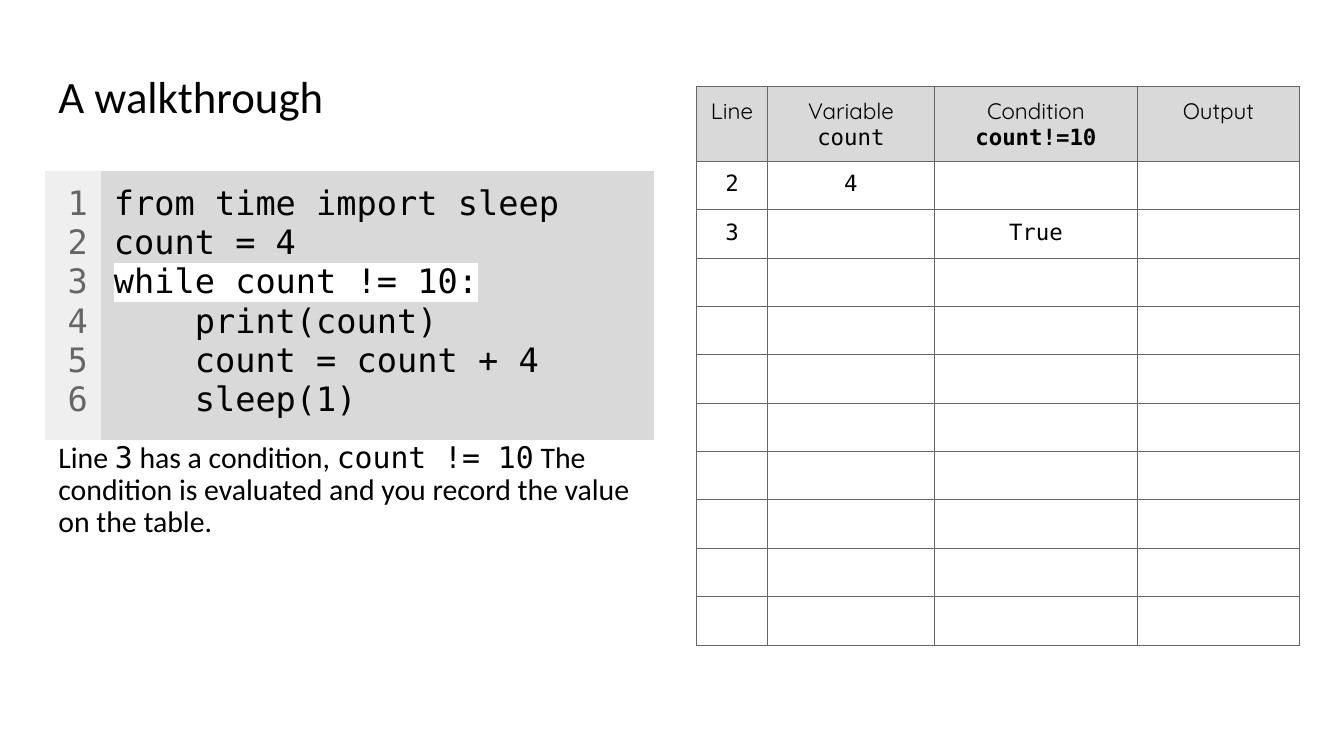
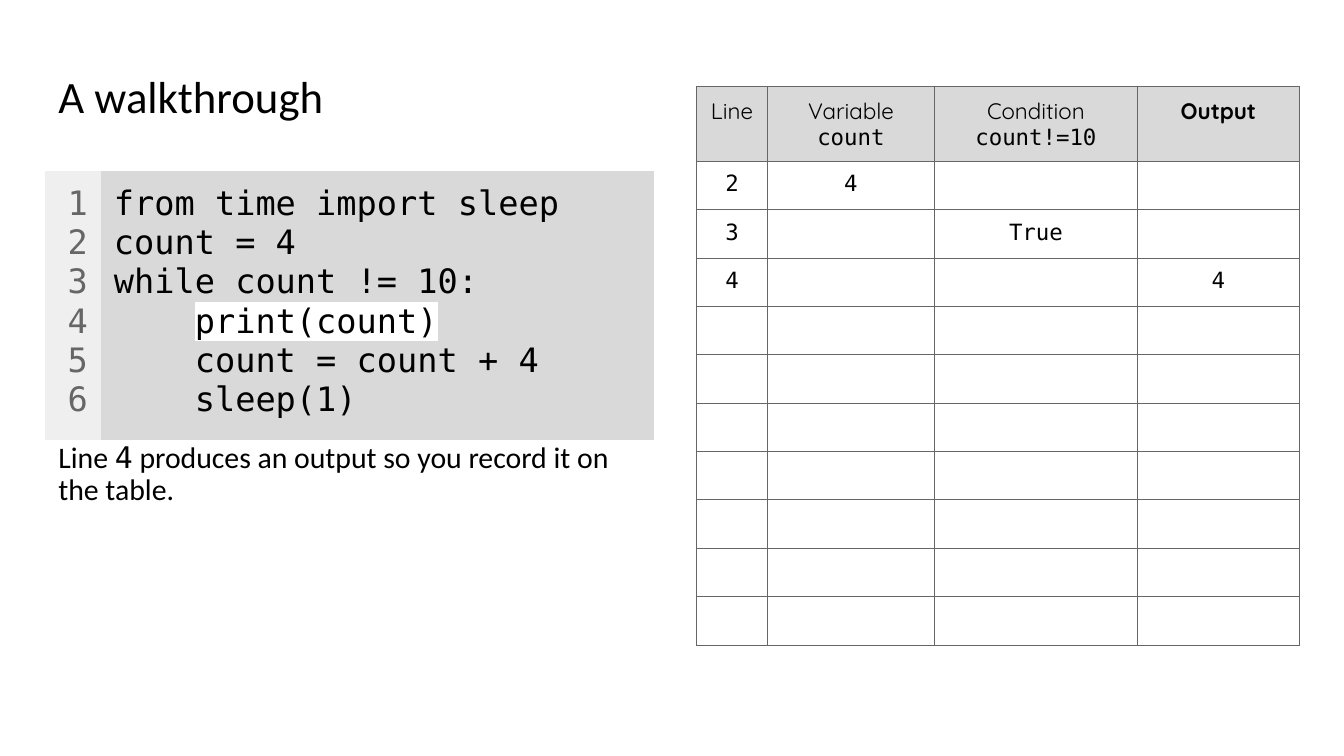
from dataclasses import dataclass

from lxml import etree
from pptx import Presentation
from pptx import util as u
from pptx.dml import color
from pptx.enum import text
from pptx.oxml import ns

SANS, MONO, HEAD = "Calibri", "DejaVu Sans Mono", "Quicksand"
BLACK, GREY, SILVER, PALE, WHITE = "000000", "666666", "D9D9D9", "EFEFEF", "FFFFFF"
PLAIN_TABLE = "{2D5ABB26-0587-4C30-8999-92F81FD0307C}"
LEFT = 0.45
TRACE_COLS = (0.7, 1.66, 2.01, 1.61)
TRACE_ROWS = (0.74,) + (0.48,) * 10
HEADERS = (("Line",), ("Variable", "count"), ("Condition", "count!=10"), ("Output",))
CODE = (
    "from time import sleep",
    "count = 4",
    "while count != 10:",
    "    print(count)",
    "    count = count + 4",
    "    sleep(1)",
)


@dataclass(frozen=True)
class Part:
    text: str
    font: str = SANS


@dataclass(frozen=True)
class Step:
    line: int
    bold_column: int
    trace: tuple[tuple[str, ...], ...]
    note: tuple[Part, ...]


TRACE = (("2", "4", "", ""), ("3", "", "True", ""), ("4", "", "", "4"))
STEPS = (
    Step(3, 2, TRACE[:2], (
        Part("Line "), Part("3", MONO), Part(" has a condition, "),
        Part("count != 10", MONO),
        Part(" The condition is evaluated and you record the value on the table."),
    )),
    Step(4, 3, TRACE, (
        Part("Line "), Part("4", MONO),
        Part(" produces an output so you record it on the table."),
    )),
)


def rgb(value: str) -> color.RGBColor:
    return color.RGBColor.from_string(value)


def style(p, size: float, name: str, hue: str = BLACK, align=None) -> None:
    p.font.size, p.font.name = u.Pt(size), name
    p.font.color.rgb = rgb(hue)
    p.alignment = align


def paragraph(tf, index: int):
    return tf.add_paragraph() if index else tf.paragraphs[0]


def add_run(p, content: str):
    r = p.add_run()
    r.text = content
    return r


def highlight(r, hue: str) -> None:
    mark = etree.SubElement(r.font._element, ns.qn("a:highlight"))
    etree.SubElement(mark, ns.qn("a:srgbClr"), val=hue)


def set_margins(box, inset: float) -> None:
    box.margin_left = box.margin_right = u.Inches(inset)
    box.margin_top = box.margin_bottom = u.Inches(inset)


def add_borders(cell, hue: str, points: float) -> None:
    tc_pr = cell._tc.get_or_add_tcPr()
    for side in ("lnL", "lnR", "lnT", "lnB"):
        ln = etree.SubElement(tc_pr, ns.qn(f"a:{side}"), w=str(u.Pt(points)))
        fill = etree.SubElement(ln, ns.qn("a:solidFill"))
        etree.SubElement(fill, ns.qn("a:srgbClr"), val=hue)


def fill_cell(cell, hue: str) -> None:
    cell.fill.solid()
    cell.fill.fore_color.rgb = rgb(hue)


def add_table(s, left: float, top: float, cols, rows, inset: float):
    frame = s.shapes.add_table(
        len(rows), len(cols), u.Inches(left), u.Inches(top),
        u.Inches(sum(cols)), u.Inches(sum(rows)))
    table = frame.table
    table.first_row = table.horz_banding = False
    table._tbl.tblPr.find(ns.qn("a:tableStyleId")).text = PLAIN_TABLE
    for column, width in zip(table.columns, cols):
        column.width = u.Inches(width)
    for row, height in zip(table.rows, rows):
        row.height = u.Inches(height)
    for cell in table.iter_cells():
        set_margins(cell, inset)
    return table


def add_text(s, left: float, top: float, width: float, height: float,
             parts: tuple[Part, ...], size: float):
    tf = s.shapes.add_textbox(*map(u.Inches, (left, top, width, height))).text_frame
    tf.word_wrap = True
    set_margins(tf, 0.13)
    p = tf.paragraphs[0]
    style(p, size, SANS)
    p.line_spacing = 0.9
    for part in parts:
        r = add_run(p, part.text)
        if part.font != SANS:
            r.font.name = part.font
    return tf


def add_trace(s, step: Step) -> None:
    table = add_table(s, 6.91, 0.86, TRACE_COLS, TRACE_ROWS, 0.1)
    for cell in table.iter_cells():
        add_borders(cell, GREY, 0.75)
        p = cell.text_frame.paragraphs[0]
        style(p, 16, MONO, align=text.PP_ALIGN.CENTER)
        p._p.get_or_add_endParaRPr().set("sz", "1600")
    for col, lines in enumerate(HEADERS):
        cell = table.cell(0, col)
        fill_cell(cell, SILVER)
        for i, line in enumerate(lines):
            p = paragraph(cell.text_frame, i)
            style(p, 16, MONO if i else HEAD, align=text.PP_ALIGN.CENTER)
            p.font.bold = col == step.bold_column and i == len(lines) - 1
            add_run(p, line)
    for row, values in enumerate(step.trace, 1):
        for col, value in enumerate(values):
            if value:
                add_run(table.cell(row, col).text_frame.paragraphs[0], value)


def add_code(s, current: int) -> None:
    table = add_table(s, LEFT, 1.7, (0.55, 5.49), (2.66,), 0.13)
    numbers, source = table.cell(0, 0), table.cell(0, 1)
    fill_cell(numbers, PALE)
    fill_cell(source, SILVER)
    for i, line in enumerate(CODE):
        p = paragraph(numbers.text_frame, i)
        style(p, 24, MONO, GREY, text.PP_ALIGN.RIGHT)
        add_run(p, str(i + 1))
        p = paragraph(source.text_frame, i)
        style(p, 24, MONO)
        statement = line.lstrip()
        indent = line[:len(line) - len(statement)]
        if indent:
            add_run(p, indent)
        r = add_run(p, statement)
        if i + 1 == current:
            highlight(r, WHITE)


def add_step(prs, step: Step) -> None:
    s = prs.slides.add_slide(prs.slide_layouts[6])
    title = add_text(s, LEFT, 0.47, 12.43, 1.02, (Part("A walkthrough"),), 32)
    title.vertical_anchor = text.MSO_ANCHOR.MIDDLE
    add_trace(s, step)
    add_code(s, step.line)
    note = add_text(s, LEFT, 4.26, 5.97, 2.11, step.note, 21.3)
    note.paragraphs[0].space_after = u.Pt(21.3)


def main() -> None:
    prs = Presentation()
    prs.slide_width, prs.slide_height = u.Inches(13.33), u.Inches(7.5)
    for step in STEPS:
        add_step(prs, step)
    prs.save("out.pptx")


if __name__ == "__main__":
    main()
